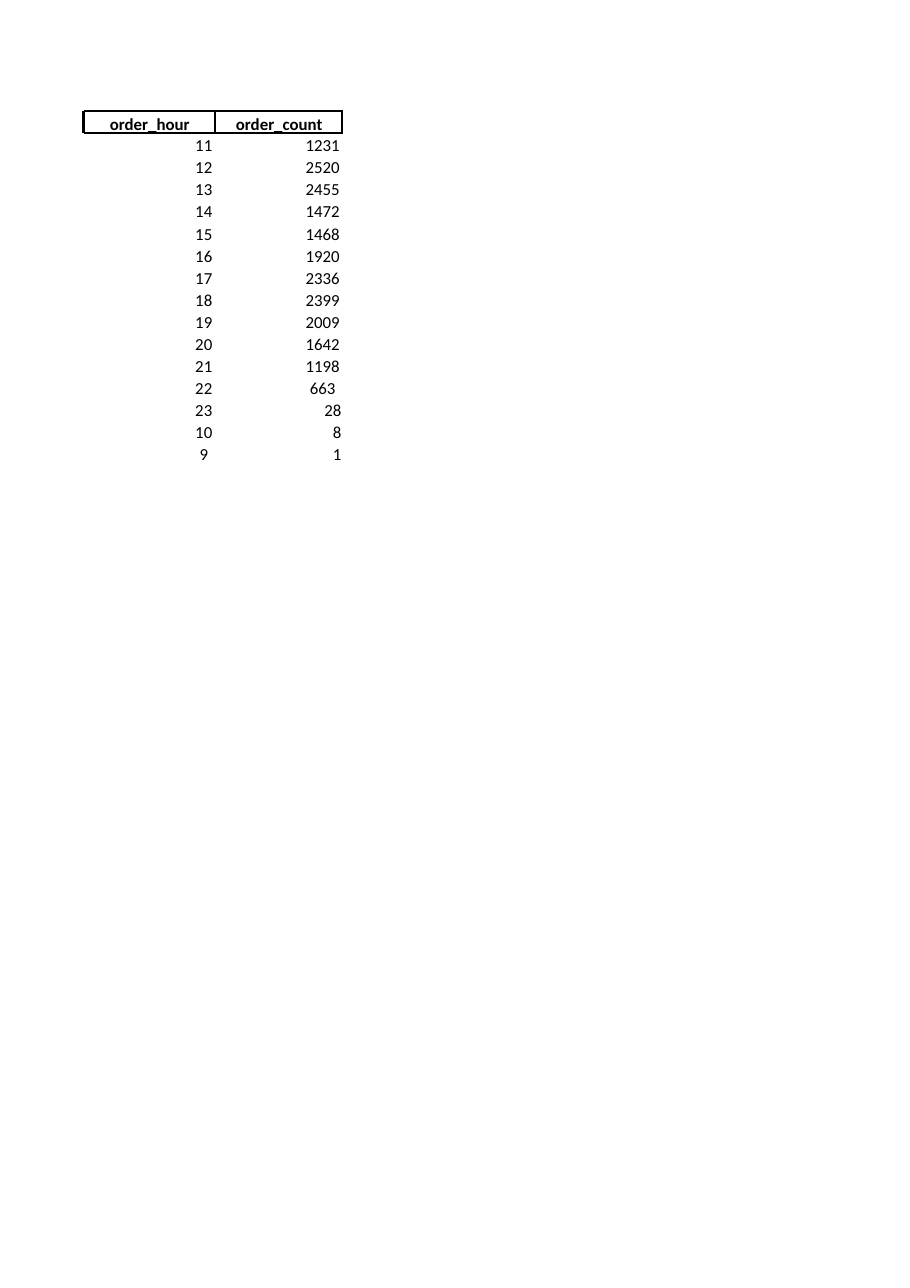
from lxml import etree
from pptx import Presentation
from pptx import util as u
from pptx.dml.color import RGBColor
from pptx.enum import shapes, text
from pptx.oxml import ns

BLACK = RGBColor(0x00, 0x00, 0x00)
FONT = "Calibri"
FONT_SIZE = u.Pt(11)
HAIRLINE, RULE_WIDTH = u.Pt(0.25), u.Pt(1.05)
NO_STYLE = "{2D5ABB26-0587-4C30-8999-92F81FD0307C}"

PAGE_WIDTH, PAGE_HEIGHT = u.Inches(8.26), u.Inches(11.69)
TABLE_LEFT, TABLE_TOP = u.Inches(0.76), u.Inches(1.03)
COLUMN_WIDTHS = (u.Inches(1.19), u.Inches(1.16))
ROW_HEIGHT = u.Pt(14.45)
# Left and right margins that leave a narrow strip for each column's numbers
HEADING_MARGINS = (u.Inches(0.01), 0)
HOUR_MARGINS = (u.Inches(1), u.Inches(0.01))
COUNT_MARGINS = (u.Inches(0.81), u.Inches(0.01))

HEADER_TOP, HEADER_BOTTOM = u.Inches(1.01), u.Inches(1.21)
HAIRLINE_OFFSET = u.Inches(0.01)

HEADINGS = ("order_hour", "order_count")
ORDERS = (
    (11, 1231), (12, 2520), (13, 2455), (14, 1472), (15, 1468),
    (16, 1920), (17, 2336), (18, 2399), (19, 2009), (20, 1642),
    (21, 1198), (22, 663), (23, 28), (10, 8), (9, 1),
)


def write_cell(cell, content, align, margins, bold=False):
    cell.fill.background()
    cell.margin_left, cell.margin_right = margins
    cell.margin_top = cell.margin_bottom = 0
    cell.vertical_anchor = text.MSO_ANCHOR.BOTTOM if bold else text.MSO_ANCHOR.TOP
    paragraph = cell.text_frame.paragraphs[0]
    paragraph.alignment = align
    run = paragraph.add_run()
    run.text = content
    run.font.name = FONT
    run.font.size = FONT_SIZE
    run.font.bold = bold
    run.font.color.rgb = BLACK


def add_plain_table(slide, row_count):
    frame = slide.shapes.add_table(
        row_count, len(COLUMN_WIDTHS), TABLE_LEFT, TABLE_TOP,
        sum(COLUMN_WIDTHS), ROW_HEIGHT * row_count)
    table = frame.table
    table.first_row = table.horz_banding = False
    table._tbl.tblPr.find(ns.qn("a:tableStyleId")).text = NO_STYLE
    for column, width in zip(table.columns, COLUMN_WIDTHS):
        column.width = width
    for row in table.rows:
        row.height = ROW_HEIGHT
    return table


def fill_orders(table):
    center, right = text.PP_ALIGN.CENTER, text.PP_ALIGN.RIGHT
    for column, heading in enumerate(HEADINGS):
        write_cell(table.cell(0, column), heading, center, HEADING_MARGINS, bold=True)
    for row, (hour, count) in enumerate(ORDERS, start=1):
        count_align = right if count < 100 else center
        write_cell(table.cell(row, 0), str(hour), center, HOUR_MARGINS)
        write_cell(table.cell(row, 1), str(count), count_align, COUNT_MARGINS)


def add_line(slide, start, end, width):
    line = slide.shapes.add_connector(shapes.MSO_CONNECTOR.STRAIGHT, *start, *end)
    line.line.color.rgb = BLACK
    line.line.width = width
    etree.SubElement(line._element.spPr, ns.qn("a:effectLst"))


def rule_header(slide):
    """Frame each heading with rules, every rule edged by a hairline."""
    edges = [TABLE_LEFT + sum(COLUMN_WIDTHS[:i]) for i in range(len(COLUMN_WIDTHS) + 1)]
    for width, offset in ((HAIRLINE, HAIRLINE_OFFSET), (RULE_WIDTH, 0)):
        for x in edges:
            add_line(slide, (x - offset, HEADER_TOP), (x - offset, HEADER_BOTTOM), width)
        for y in (HEADER_TOP, HEADER_BOTTOM):
            add_line(slide, (edges[0], y - offset), (edges[-1], y - offset), width)


def main():
    deck = Presentation()
    deck.slide_width, deck.slide_height = PAGE_WIDTH, PAGE_HEIGHT
    slide = deck.slides.add_slide(deck.slide_layouts[6])
    fill_orders(add_plain_table(slide, len(ORDERS) + 1))
    rule_header(slide)
    deck.save("out.pptx")


if __name__ == "__main__":
    main()
